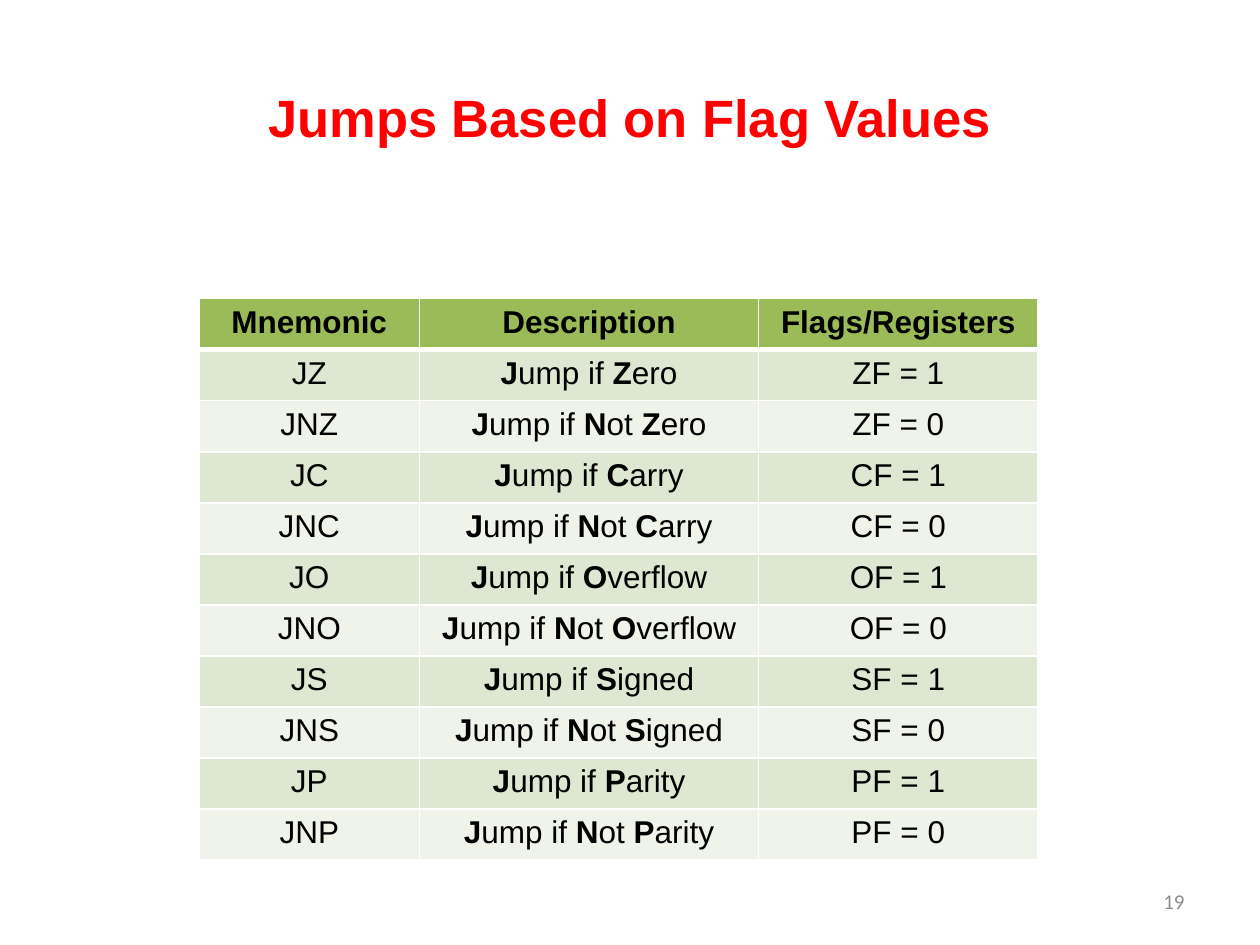
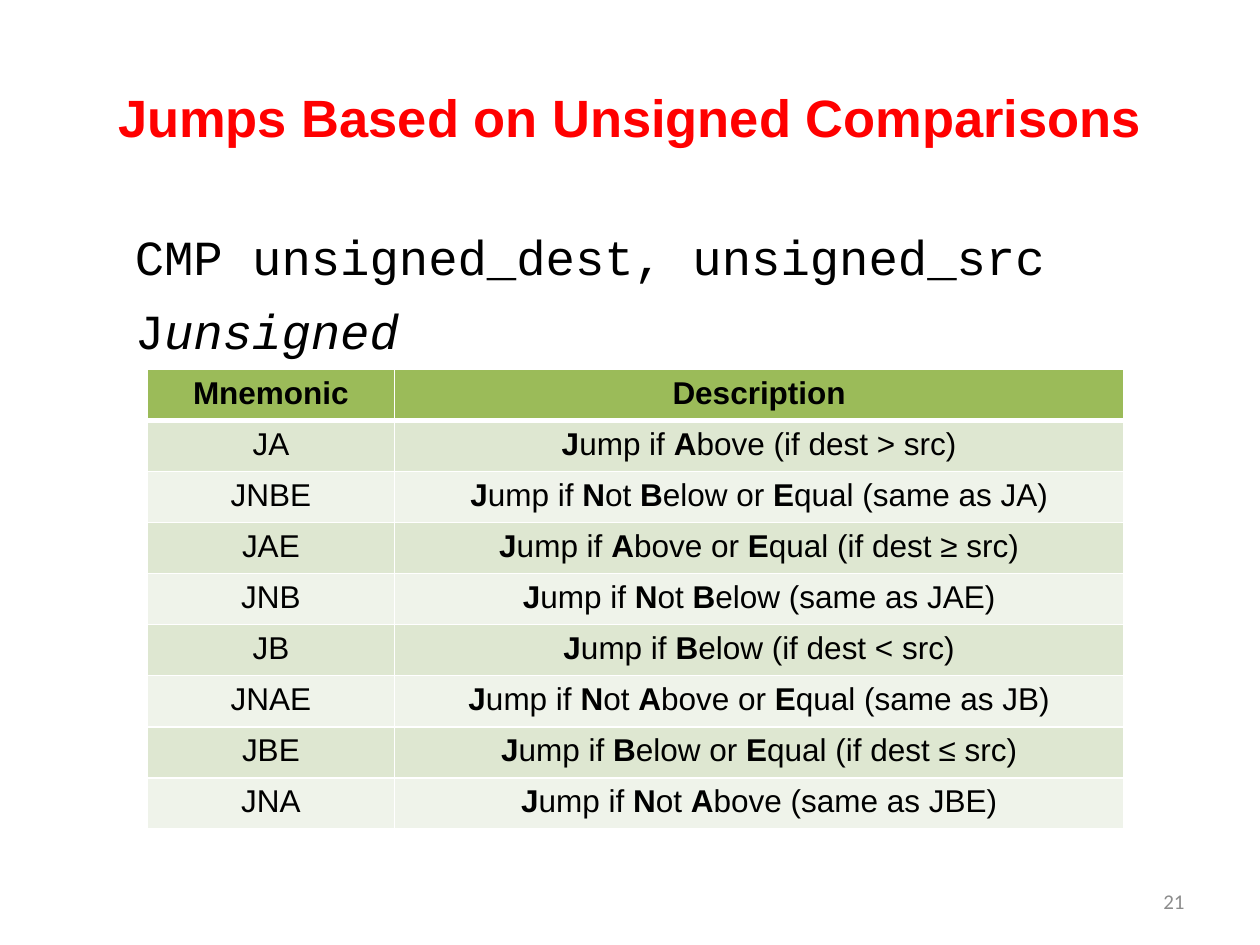
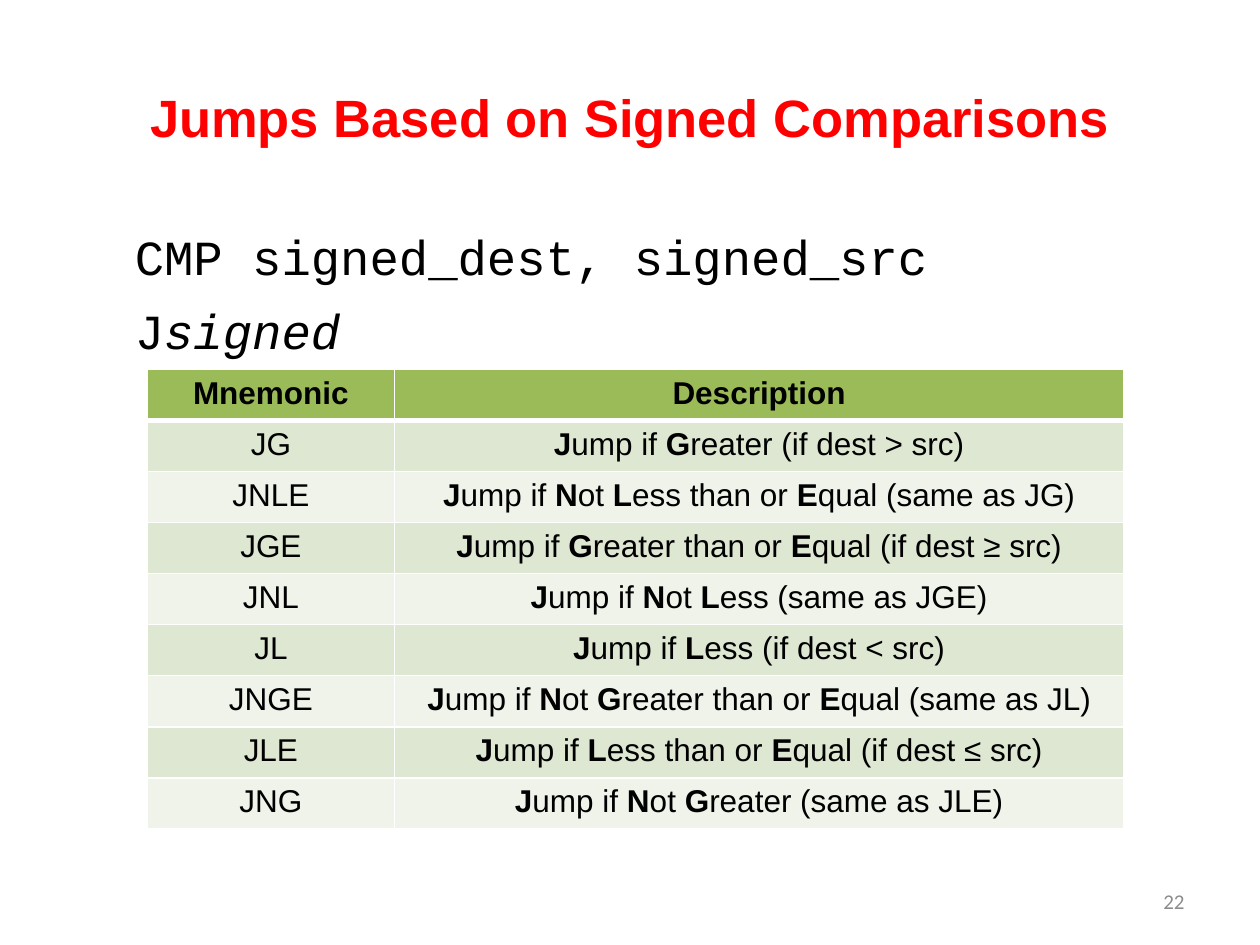
from dataclasses import dataclass
from itertools import groupby

import pptx
import pptx.dml.color
import pptx.enum.text
import pptx.oxml
import pptx.oxml.ns
import pptx.util
from pptx.dml.color import RGBColor
from pptx.util import Inches

RED = RGBColor(0xFF, 0x00, 0x00)
BLACK = RGBColor(0x00, 0x00, 0x00)
GREY = RGBColor(0x8C, 0x8C, 0x8C)
WHITE = RGBColor(0xFF, 0xFF, 0xFF)
HEADER_GREEN = RGBColor(0x9B, 0xBB, 0x59)
BAND_GREENS = (RGBColor(0xDE, 0xE7, 0xD1), RGBColor(0xEF, 0xF3, 0xEA))

ALIGN = pptx.enum.text.PP_ALIGN
MIDDLE = pptx.enum.text.MSO_ANCHOR.MIDDLE
TITLE_ONLY = 5
THIN, THICK = 1, 3


@dataclass(frozen=True)
class TableFrame:
    left: float
    top: float
    height: float
    columns: tuple[float, ...]


@dataclass(frozen=True)
class JumpSlide:
    title: str
    number: int
    frame: TableFrame
    rows: tuple[tuple[str, ...], ...]
    kind: str = ""


FLAG_FRAME = TableFrame(1.58, 2.37, 4.46, (1.75, 2.69, 2.22))
COMPARISON_FRAME = TableFrame(1.17, 2.93, 3.65, (1.96, 5.79))

SLIDES = (
    JumpSlide("Jumps Based on Flag Values", 19, FLAG_FRAME, (
        ("Mnemonic", "Description", "Flags/Registers"),
        ("JZ", "Jump if Zero", "ZF = 1"),
        ("JNZ", "Jump if Not Zero", "ZF = 0"),
        ("JC", "Jump if Carry", "CF = 1"),
        ("JNC", "Jump if Not Carry", "CF = 0"),
        ("JO", "Jump if Overflow", "OF = 1"),
        ("JNO", "Jump if Not Overflow", "OF = 0"),
        ("JS", "Jump if Signed", "SF = 1"),
        ("JNS", "Jump if Not Signed", "SF = 0"),
        ("JP", "Jump if Parity", "PF = 1"),
        ("JNP", "Jump if Not Parity", "PF = 0"),
    )),
    JumpSlide("Jumps Based on Unsigned Comparisons", 21, COMPARISON_FRAME, (
        ("Mnemonic", "Description"),
        ("JA", "Jump if Above (if dest > src)"),
        ("JNBE", "Jump if Not Below or Equal (same as JA)"),
        ("JAE", "Jump if Above or Equal (if dest ≥ src)"),
        ("JNB", "Jump if Not Below (same as JAE)"),
        ("JB", "Jump if Below (if dest < src)"),
        ("JNAE", "Jump if Not Above or Equal (same as JB)"),
        ("JBE", "Jump if Below or Equal (if dest ≤ src)"),
        ("JNA", "Jump if Not Above (same as JBE)"),
    ), "unsigned"),
    JumpSlide("Jumps Based on Signed Comparisons", 22, COMPARISON_FRAME, (
        ("Mnemonic", "Description"),
        ("JG", "Jump if Greater (if dest > src)"),
        ("JNLE", "Jump if Not Less than or Equal (same as JG)"),
        ("JGE", "Jump if Greater than or Equal (if dest ≥ src)"),
        ("JNL", "Jump if Not Less (same as JGE)"),
        ("JL", "Jump if Less (if dest < src)"),
        ("JNGE", "Jump if Not Greater than or Equal (same as JL)"),
        ("JLE", "Jump if Less than or Equal (if dest ≤ src)"),
        ("JNG", "Jump if Not Greater (same as JLE)"),
    ), "signed"),
)


def set_font(font, name: str, size: int, color: RGBColor) -> None:
    font.name = name
    font.size = pptx.util.Pt(size)
    font.color.rgb = color


def add_title(s, text: str) -> None:
    title = s.shapes.title
    title.left, title.top = Inches(0.5), Inches(0.3)
    title.width, title.height = Inches(9), Inches(1.25)
    tf = title.text_frame
    tf.text = text
    tf.vertical_anchor = MIDDLE
    p = tf.paragraphs[0]
    p.alignment = ALIGN.CENTER
    set_font(p.font, "Arial", 30, RED)
    p.font.bold = True


def add_slide_number(s, number: int) -> None:
    box = s.shapes.add_textbox(Inches(7.17), Inches(6.95), Inches(2.33), Inches(0.4))
    tf = box.text_frame
    tf.word_wrap = True
    tf.vertical_anchor = MIDDLE
    p = tf.paragraphs[0]
    p.text = str(number)
    p.alignment = ALIGN.RIGHT
    set_font(p.font, "Calibri", 12, GREY)


def add_code(s, kind: str) -> None:
    """Show the compare instruction and the jump that follows it."""
    box = s.shapes.add_textbox(Inches(0.5), Inches(1.75), Inches(9), Inches(4.95))
    tf = box.text_frame
    tf.word_wrap = True
    tf.margin_left = Inches(0.57)
    compare, jump = tf.paragraphs[0], tf.add_paragraph()
    compare.text = f"CMP {kind}_dest, {kind}_src"
    jump.add_run().text = "J"
    r = jump.add_run()
    r.text = kind
    r.font.italic = True
    for p, space in ((compare, 5.6), (jump, 8.3)):
        p.space_before = pptx.util.Pt(space)
        set_font(p.font, "Courier New", 28, BLACK)


def set_borders(cell, top: int, bottom: int) -> None:
    tc_pr = cell._tc.get_or_add_tcPr()
    for side, width in (("L", THIN), ("R", THIN), ("T", top), ("B", bottom)):
        tc_pr.append(pptx.oxml.parse_xml(
            f'<a:ln{side} {pptx.oxml.ns.nsdecls("a")} w="{pptx.util.Pt(width)}">'
            f'<a:solidFill><a:srgbClr val="{WHITE}"/></a:solidFill></a:ln{side}>'))


def split_bold(text: str, row: int, column: int) -> list[tuple[str, bool]]:
    """Bold the whole header, and in descriptions the capitals before any bracket."""
    if row == 0 or column != 1:
        return [(text, row == 0)]
    plain_from = len(text.partition("(")[0])
    groups = groupby(enumerate(text), lambda item: item[0] < plain_from and item[1].isupper())
    return [("".join(char for _, char in group), bold) for bold, group in groups]


def fill_cell(cell, text: str, row: int, column: int) -> None:
    set_borders(cell, THICK if row == 1 else THIN, THICK if row == 0 else THIN)
    cell.fill.solid()
    cell.fill.fore_color.rgb = BAND_GREENS[(row - 1) % 2] if row else HEADER_GREEN
    p = cell.text_frame.paragraphs[0]
    p.alignment = ALIGN.CENTER
    for part, bold in split_bold(text, row, column):
        r = p.add_run()
        r.text = part
        set_font(r.font, "Arial", 18, BLACK)
        r.font.bold = bold


def add_jump_table(s, frame: TableFrame, rows: tuple[tuple[str, ...], ...]) -> None:
    table = s.shapes.add_table(
        len(rows), len(frame.columns), Inches(frame.left), Inches(frame.top),
        Inches(sum(frame.columns)), Inches(frame.height)).table
    for column, width in zip(table.columns, frame.columns):
        column.width = Inches(width)
    for i, row in enumerate(rows):
        for j, text in enumerate(row):
            fill_cell(table.cell(i, j), text, i, j)


def main() -> None:
    prs = pptx.Presentation()
    prs.slide_width, prs.slide_height = Inches(10), Inches(7.5)
    for content in SLIDES:
        s = prs.slides.add_slide(prs.slide_layouts[TITLE_ONLY])
        add_title(s, content.title)
        add_jump_table(s, content.frame, content.rows)
        add_slide_number(s, content.number)
        if content.kind:
            add_code(s, content.kind)
    prs.save("out.pptx")


if __name__ == "__main__":
    main()
